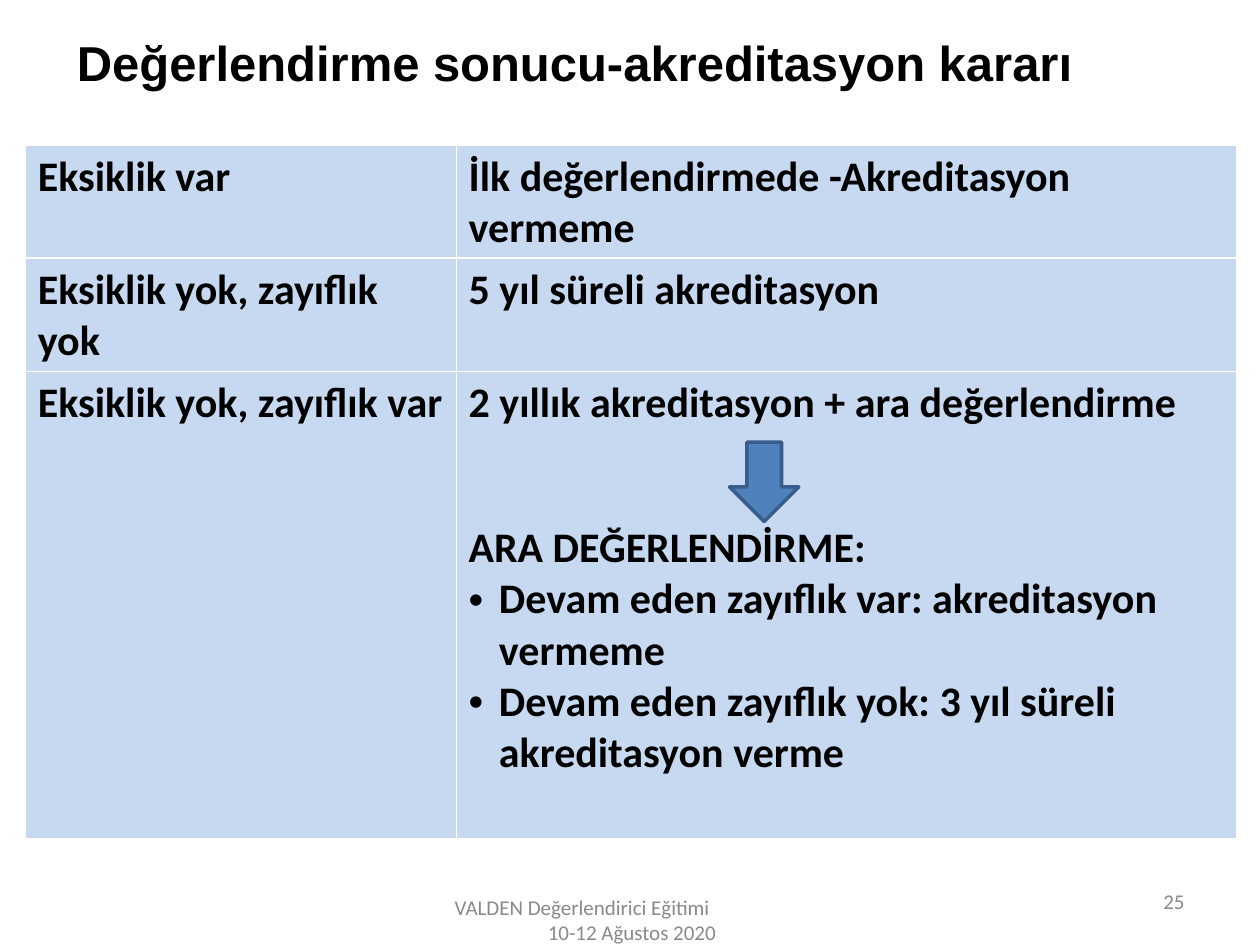
from dataclasses import dataclass

from lxml import etree
from pptx import Presentation
from pptx.dml.color import RGBColor
from pptx.enum.shapes import MSO_SHAPE
from pptx.enum.text import MSO_ANCHOR, MSO_AUTO_SIZE, PP_ALIGN
from pptx.oxml.ns import qn
from pptx.util import Inches, Pt

BLACK = RGBColor(0x00, 0x00, 0x00)
WHITE = RGBColor(0xFF, 0xFF, 0xFF)
GRAY = RGBColor(0x89, 0x89, 0x89)
PALE_BLUE = RGBColor(0xC6, 0xD9, 0xF1)
ARROW_BLUE = RGBColor(0x4F, 0x81, 0xBD)
ARROW_EDGE = RGBColor(0x38, 0x5D, 0x8A)
DOWN_ARROW = MSO_SHAPE.DOWN_ARROW
TOP, MIDDLE = MSO_ANCHOR.TOP, MSO_ANCHOR.MIDDLE
LEFT, CENTER, RIGHT = PP_ALIGN.LEFT, PP_ALIGN.CENTER, PP_ALIGN.RIGHT
NO_AUTOFIT = MSO_AUTO_SIZE.NONE
TITLE_ONLY = 5
THIN, THICK = 0.45, 1.47


@dataclass
class Line:
    text: str
    align: PP_ALIGN = LEFT
    indent: float = 0
    space_before: float = 0
    bullet: bool = False


@dataclass
class Style:
    font: str
    size: float
    color: RGBColor
    bold: bool


@dataclass
class Note:
    left: float
    top: float
    width: float
    height: float
    lines: list[Line]


TITLE_STYLE = Style("Arial", 28, BLACK, True)
CELL_STYLE = Style("Calibri", 24, BLACK, True)
NOTE_STYLE = Style("Calibri", 12, GRAY, False)

COLUMN_WIDTHS = (3.42, 6.19)
ROW_HEIGHTS = (0.9, 0.9, 3.7)
DECISIONS = [
    ([Line("Eksiklik var")],
     [Line("İlk değerlendirmede -Akreditasyon vermeme")]),
    ([Line("Eksiklik yok, zayıflık yok")],
     [Line("5 yıl süreli akreditasyon")]),
    ([Line("Eksiklik yok, zayıflık var")],
     [Line("2 yıllık akreditasyon + ara değerlendirme"),
      Line("ARA DEĞERLENDİRME:", space_before=53.5),
      Line("Devam eden zayıflık var: akreditasyon vermeme", indent=0.24, bullet=True),
      Line("Devam eden zayıflık yok: 3 yıl süreli akreditasyon verme", indent=0.24, bullet=True)]),
]
NOTES = [
    Note(3.43, 7.1, 3.17, 0.4,
         [Line("VALDEN Değerlendirici Eğitimi", indent=0.08),
          Line("10-12 Ağustos 2020", CENTER)]),
    Note(7.17, 6.95, 2.33, 0.4, [Line("25", RIGHT)]),
]


def write_lines(frame, lines: list[Line], style: Style) -> None:
    for index, line in enumerate(lines):
        para = frame.add_paragraph() if index else frame.paragraphs[0]
        para.text = line.text
        para.alignment = line.align
        para.space_before = Pt(line.space_before)
        para.font.name = style.font
        para.font.size = Pt(style.size)
        para.font.bold = style.bold
        para.font.color.rgb = style.color
        properties = para._p.get_or_add_pPr()
        if line.indent:
            properties.set("marL", str(Inches(line.indent)))
        if line.bullet:
            properties.set("indent", str(-Inches(line.indent)))
            bullet_font = etree.Element(qn("a:buFont"), typeface="Arial")
            bullet = etree.Element(qn("a:buChar"), char="•")
            spacing = properties.find(qn("a:spcBef"))
            spacing.addnext(bullet_font)
            bullet_font.addnext(bullet)


def set_borders(cell, top: float, bottom: float) -> None:
    properties = cell._tc.get_or_add_tcPr()
    widths = (("a:lnL", THIN), ("a:lnR", THIN), ("a:lnT", top), ("a:lnB", bottom))
    for position, (tag, width) in enumerate(widths):
        border = etree.Element(qn(tag), w=str(Pt(width)))
        fill = etree.SubElement(border, qn("a:solidFill"))
        etree.SubElement(fill, qn("a:srgbClr"), val=str(WHITE))
        properties.insert(position, border)


def add_title(page, text: str) -> None:
    title = page.shapes.title
    title.left, title.top = Inches(0.51), Inches(0.21)
    title.width, title.height = Inches(8.35), Inches(0.57)
    title.text_frame.auto_size = NO_AUTOFIT
    title.text_frame.vertical_anchor = TOP
    write_lines(title.text_frame, [Line(text)], TITLE_STYLE)


def add_decision_table(page) -> None:
    frame = page.shapes.add_table(
        len(ROW_HEIGHTS), len(COLUMN_WIDTHS), Inches(0.2), Inches(1.15),
        Inches(sum(COLUMN_WIDTHS)), Inches(sum(ROW_HEIGHTS)))
    table = frame.table
    for column, width in zip(table.columns, COLUMN_WIDTHS):
        column.width = Inches(width)
    for row, height in zip(table.rows, ROW_HEIGHTS):
        row.height = Inches(height)
    for row_index, texts in enumerate(DECISIONS):
        top = THICK if row_index == 1 else THIN
        bottom = THICK if row_index == 0 else THIN
        for column_index, lines in enumerate(texts):
            cell = table.cell(row_index, column_index)
            cell.margin_right = Inches(0.08)
            cell.margin_bottom = Inches(0.03)
            cell.fill.solid()
            cell.fill.fore_color.rgb = PALE_BLUE
            set_borders(cell, top, bottom)
            write_lines(cell.text_frame, lines, CELL_STYLE)


def add_note(page, note: Note) -> None:
    box = page.shapes.add_textbox(
        Inches(note.left), Inches(note.top), Inches(note.width), Inches(note.height))
    box.text_frame.word_wrap = True
    box.text_frame.vertical_anchor = MIDDLE
    write_lines(box.text_frame, note.lines, NOTE_STYLE)


def add_arrow(page) -> None:
    arrow = page.shapes.add_shape(
        DOWN_ARROW, Inches(5.79), Inches(3.51), Inches(0.55), Inches(0.63))
    arrow.shadow.inherit = False
    arrow.fill.solid()
    arrow.fill.fore_color.rgb = ARROW_BLUE
    arrow.line.color.rgb = ARROW_EDGE
    arrow.line.width = Pt(2)


def main() -> None:
    deck = Presentation()
    deck.slide_width, deck.slide_height = Inches(10), Inches(7.5)
    page = deck.slides.add_slide(deck.slide_layouts[TITLE_ONLY])
    add_title(page, "Değerlendirme sonucu-akreditasyon kararı")
    add_decision_table(page)
    for note in NOTES:
        add_note(page, note)
    add_arrow(page)
    deck.save("out.pptx")


if __name__ == "__main__":
    main()
